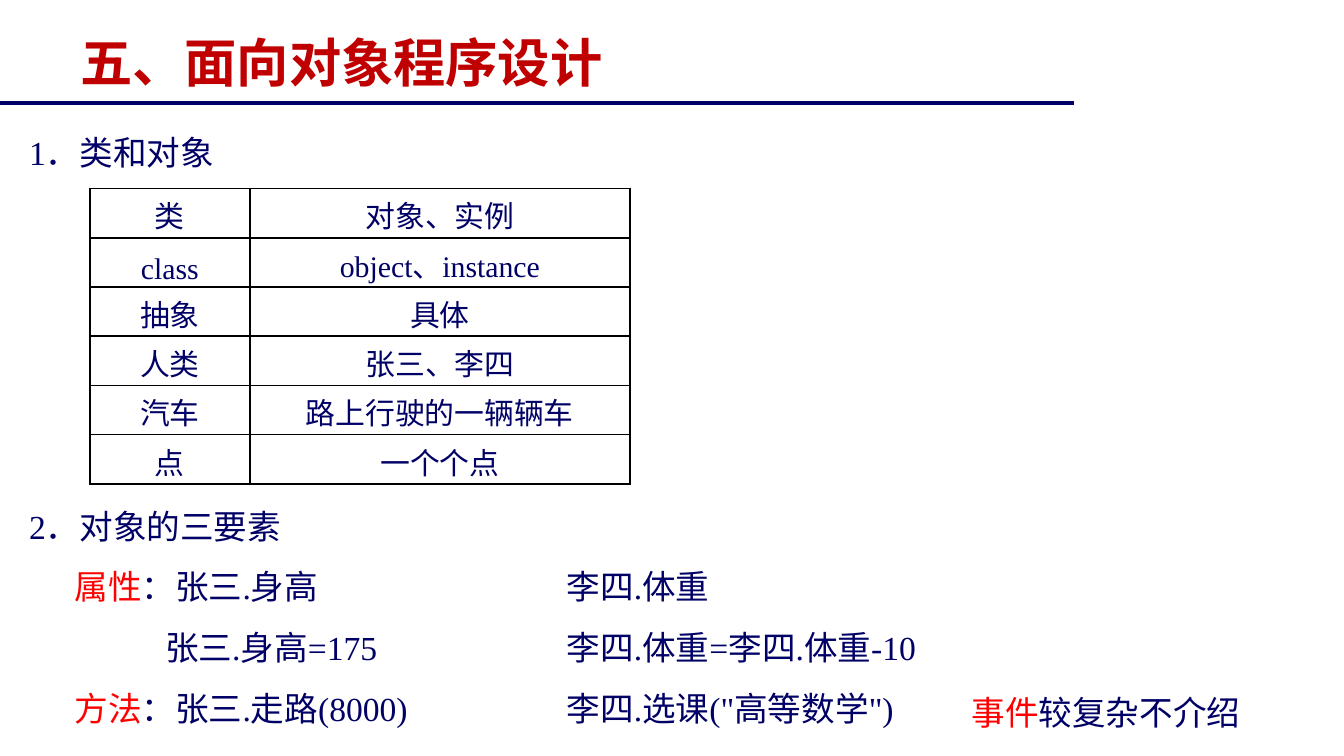
from lxml import etree
from pptx import Presentation
from pptx.dml.color import RGBColor
from pptx.enum.shapes import MSO_CONNECTOR
from pptx.enum.text import MSO_ANCHOR, PP_ALIGN
from pptx.oxml.ns import qn
from pptx.util import Cm, Pt

STRAIGHT = MSO_CONNECTOR.STRAIGHT
TOP = MSO_ANCHOR.TOP
LEFT, CENTER = PP_ALIGN.LEFT, PP_ALIGN.CENTER

COLORS = {"navy": "000066", "title": "C00000", "key": "FF0000",
          "border": "000000", "cell": "FFFFFF"}
SERIF, SANS = "Times New Roman", "Noto Sans CJK SC"

# Content: a line is a list of (text, colour) spans
TITLE = [("五、面向对象程序设计", "title")]
CLASS_HEADING = [("1．类和对象", "navy")]
CLASS_ROWS = [
    ("类", "对象、实例"),
    ("class", "object、instance"),
    ("抽象", "具体"),
    ("人类", "张三、李四"),
    ("汽车", "路上行驶的一辆辆车"),
    ("点", "一个个点"),
]
KEY_INDENT, CODE_INDENT, SECOND_COLUMN = 0.86, 2.57, 10.16
ELEMENT_LINES = [
    [("2．对象的三要素", "navy")],
    [("\t属性", "key"), ("：张三.身高\t李四.体重", "navy")],
    [("\t张三.身高=175\t李四.体重=李四.体重-10", "navy")],
    [("\t方法", "key"), ("：张三.走路(8000)\t李四.选课(\"高等数学\")", "navy")],
]
ELEMENT_TABS = [(), (KEY_INDENT, SECOND_COLUMN),
                (CODE_INDENT, SECOND_COLUMN), (KEY_INDENT, SECOND_COLUMN)]
EVENT_NOTE = [("事件", "key"), ("较复杂不介绍", "navy")]


def color(name):
    return RGBColor.from_string(COLORS[name])


def write_line(para, spans, size=18, font=SERIF, bold=False,
               align=LEFT, spacing=32.4, tabs=()):
    """Fill one paragraph with coloured spans."""
    para.alignment = align
    para.line_spacing = Pt(spacing)
    if tabs:
        tab_list = etree.SubElement(para._p.get_or_add_pPr(), qn("a:tabLst"))
        for position in tabs:
            etree.SubElement(tab_list, qn("a:tab"),
                             pos=str(Cm(position)), algn="l")
    for text, color_name in spans:
        span = para.add_run()
        span.text = text
        span.font.size = Pt(size)
        span.font.bold = bold
        span.font.name = font
        span.font.color.rgb = color(color_name)
        east_asian = etree.Element(qn("a:ea"), typeface=SANS)
        span.font._element.find(qn("a:latin")).addnext(east_asian)


def add_text(slide, left, top, width, height, lines, wrap=True,
             line_tabs=None, **style):
    box = slide.shapes.add_textbox(Cm(left), Cm(top), Cm(width), Cm(height))
    frame = box.text_frame
    frame.word_wrap = wrap
    frame.vertical_anchor = TOP
    for index, spans in enumerate(lines):
        para = frame.add_paragraph() if index else frame.paragraphs[0]
        tabs = line_tabs[index] if line_tabs else ()
        write_line(para, spans, tabs=tabs, **style)


def add_borders(cell):
    properties = cell._tc.get_or_add_tcPr()
    for index, side in enumerate(("lnL", "lnR", "lnT", "lnB")):
        line = etree.Element(qn("a:" + side), w=str(Pt(1)))
        fill = etree.SubElement(line, qn("a:solidFill"))
        etree.SubElement(fill, qn("a:srgbClr"), val=COLORS["border"])
        properties.insert(index, line)


def add_class_table(slide):
    column_widths, row_height = (3.02, 7.19), 0.93
    table = slide.shapes.add_table(
        len(CLASS_ROWS), len(column_widths), Cm(1.7), Cm(3.56),
        Cm(sum(column_widths)), Cm(row_height * len(CLASS_ROWS))).table
    for column, width in zip(table.columns, column_widths):
        column.width = Cm(width)
    for row, texts in zip(table.rows, CLASS_ROWS):
        row.height = Cm(row_height)
        for cell, text in zip(row.cells, texts):
            cell.fill.solid()
            cell.fill.fore_color.rgb = color("cell")
            cell.margin_top, cell.margin_bottom = Cm(0.13), Cm(0)
            add_borders(cell)
            write_line(cell.text_frame.paragraphs[0], [(text, "navy")],
                       size=16, align=CENTER, spacing=22)


def main():
    deck = Presentation()
    deck.slide_width, deck.slide_height = Cm(25.4), Cm(14.28)
    slide = deck.slides.add_slide(deck.slide_layouts[6])

    # Title and rule
    rule = slide.shapes.add_connector(STRAIGHT, Cm(0), Cm(1.95),
                                      Cm(20.3), Cm(1.95))
    rule.line.color.rgb = color("navy")
    rule.line.width = Pt(2)
    etree.SubElement(rule._element.spPr, qn("a:effectLst"))
    add_text(slide, 1.27, 0.36, 22.86, 1.17, [TITLE],
             size=28, font=SANS, bold=True, spacing=36)

    # Classes and objects
    add_text(slide, 0.3, 1.98, 19.8, 1.4, [CLASS_HEADING])
    add_class_table(slide)

    # Three elements of an object
    add_text(slide, 0.3, 9.05, 19.8, 4.8, ELEMENT_LINES,
             line_tabs=ELEMENT_TABS)
    add_text(slide, 18.11, 12.75, 5.64, 1.09, [EVENT_NOTE],
             wrap=False, spacing=27)

    deck.save("out.pptx")


if __name__ == "__main__":
    main()
